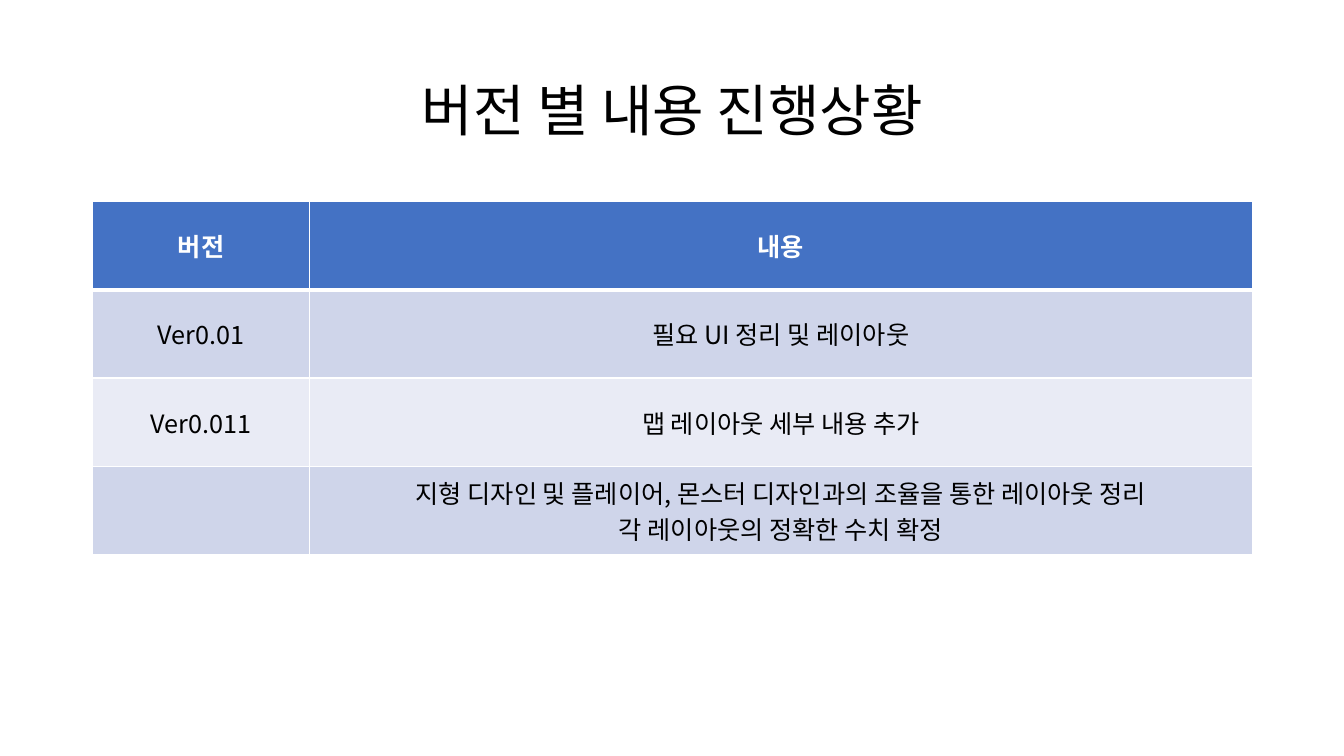
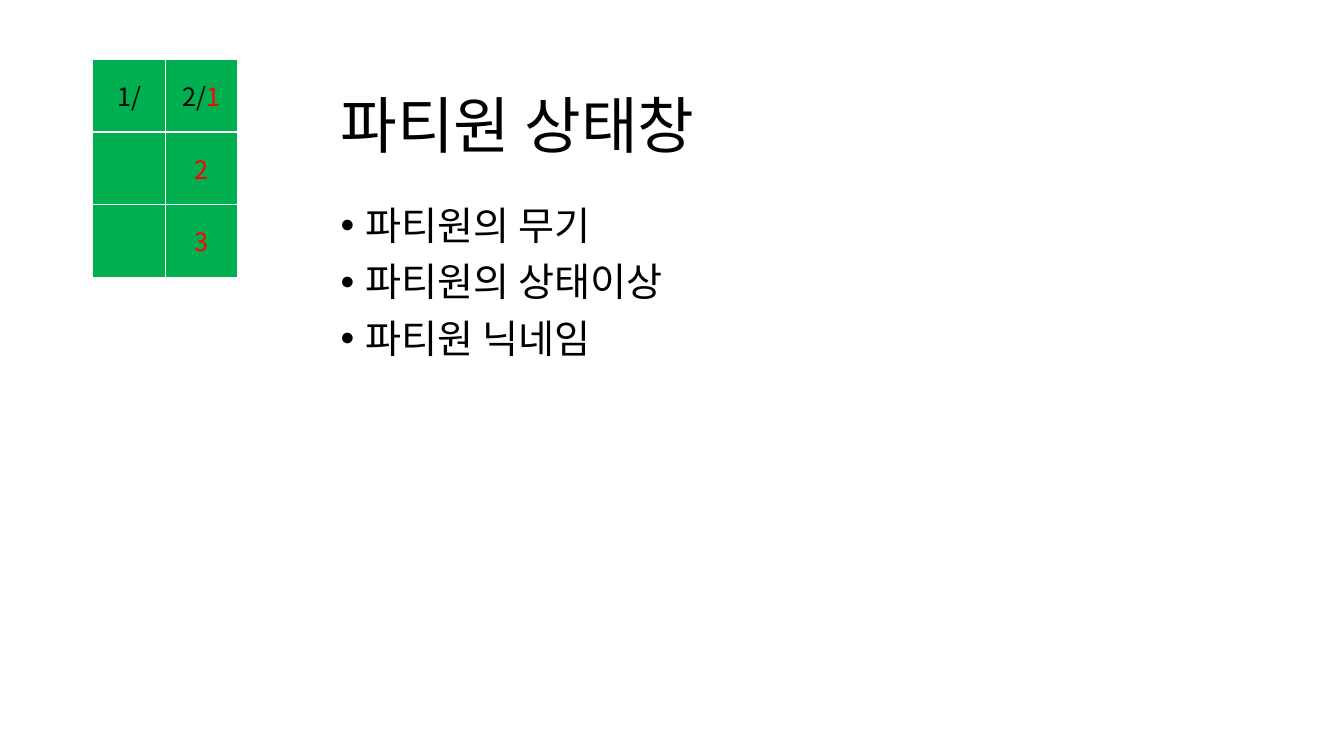
from lxml import etree
from pptx import Presentation
from pptx.dml.color import RGBColor
from pptx.enum.text import MSO_ANCHOR, PP_ALIGN
from pptx.oxml.ns import qn
from pptx.util import Inches, Pt

LEFT, CENTER = PP_ALIGN.LEFT, PP_ALIGN.CENTER
TOP, MIDDLE = MSO_ANCHOR.TOP, MSO_ANCHOR.MIDDLE
FONT = "Noto Sans CJK KR"
BLACK = RGBColor(0x00, 0x00, 0x00)
WHITE = RGBColor(0xFF, 0xFF, 0xFF)
RED = RGBColor(0xFF, 0x00, 0x00)
GREEN = RGBColor(0x00, 0xB0, 0x50)
BLUE = RGBColor(0x44, 0x72, 0xC4)
BAND_DARK = RGBColor(0xCF, 0xD5, 0xEA)
BAND_LIGHT = RGBColor(0xE9, 0xEB, 0xF5)
MARGIN = 0.92
BODY_TOP = 2
TITLE_HEIGHT = 1.45


def write(frame, paragraphs, size=18, color=BLACK, bold=False, align=CENTER,
          anchor=MIDDLE, spacing=1.0, before=0, bullet=None):
    frame.word_wrap = True
    frame.vertical_anchor = anchor
    for index, spans in enumerate(paragraphs):
        para = frame.paragraphs[0] if index == 0 else frame.add_paragraph()
        para.alignment = align
        para.line_spacing = spacing
        para.space_before = Pt(before)
        if bullet:
            properties = para._p.get_or_add_pPr()
            properties.set("marL", str(Inches(0.25)))
            properties.set("indent", str(-Inches(0.25)))
            etree.SubElement(properties, qn("a:buFont"), typeface="Arial")
            etree.SubElement(properties, qn("a:buChar"), char=bullet)
        for text, span_color in spans:
            for number, line in enumerate(text.split("\n")):
                if number:
                    para.add_line_break()
                span = para.add_run()
                span.text = line
                span.font.size = Pt(size)
                span.font.bold = bold
                span.font.name = FONT
                span.font.color.rgb = span_color or color
                etree.SubElement(span.font._element, qn("a:ea"), typeface=FONT)


def add_grid(page, top, widths, row_height, rows, fills, header=False):
    grid = page.shapes.add_table(
        len(rows), len(widths), Inches(MARGIN), Inches(top),
        Inches(sum(widths)), Inches(row_height * len(rows))).table
    for column, width in zip(grid.columns, widths):
        column.width = Inches(width)
    for r, (row, fill) in enumerate(zip(rows, fills)):
        grid.rows[r].height = Inches(row_height)
        heading = header and r == 0
        for c, spans in enumerate(row):
            cell = grid.cell(r, c)
            thick_side = "B" if heading else "T" if header and r == 1 else ""
            for side in "LRTB":
                border = etree.SubElement(
                    cell._tc.get_or_add_tcPr(), qn("a:ln" + side),
                    w=str(Pt(3 if side == thick_side else 1)))
                paint = etree.SubElement(border, qn("a:solidFill"))
                etree.SubElement(paint, qn("a:srgbClr"), val=str(WHITE))
            cell.fill.solid()
            cell.fill.fore_color.rgb = fill
            cell.vertical_anchor = MIDDLE
            if spans:
                write(cell.text_frame, [spans], bold=heading,
                      color=WHITE if heading else BLACK)


deck = Presentation()
deck.slide_width, deck.slide_height = Inches(13.33), Inches(7.5)
blank = deck.slide_layouts[6]

versions = deck.slides.add_slide(blank)
box = versions.shapes.add_textbox(
    Inches(MARGIN), Inches(0.4), Inches(11.5), Inches(TITLE_HEIGHT))
write(box.text_frame, [[("버전 별 내용 진행상황", None)]], size=40, spacing=0.9)
version_rows = [
    ("버전", "내용"),
    ("Ver0.01", "필요 UI 정리 및 레이아웃"),
    ("Ver0.011", "맵 레이아웃 세부 내용 추가"),
    ("", "지형 디자인 및 플레이어, 몬스터 디자인과의 조율을 통한 레이아웃 정리\n"
         "각 레이아웃의 정확한 수치 확정"),
]
add_grid(versions, BODY_TOP, [2.15, 9.35], 0.875,
         [[[(text, None)] if text else [] for text in row] for row in version_rows],
         [BLUE, BAND_DARK, BAND_LIGHT, BAND_DARK], header=True)

party = deck.slides.add_slide(blank)
box = party.shapes.add_textbox(
    Inches(3.28), Inches(0.55), Inches(6.76), Inches(TITLE_HEIGHT))
write(box.text_frame, [[("파티원 상태창", None)]], size=44, align=LEFT, spacing=0.9)
box = party.shapes.add_textbox(
    Inches(3.28), Inches(BODY_TOP), Inches(3.93), Inches(1.74))
items = ["파티원의 무기", "파티원의 상태이상", "파티원 닉네임"]
write(box.text_frame, [[(item, None)] for item in items], size=28, align=LEFT,
      anchor=TOP, spacing=0.9, before=10, bullet="•")
add_grid(party, 0.59, [0.72, 0.72], 0.72, [
    [[("1/", None)], [("2/", None), ("1", RED)]],
    [[], [("2", RED)]],
    [[], [("3", RED)]],
], [GREEN] * 3)

deck.save("out.pptx")
